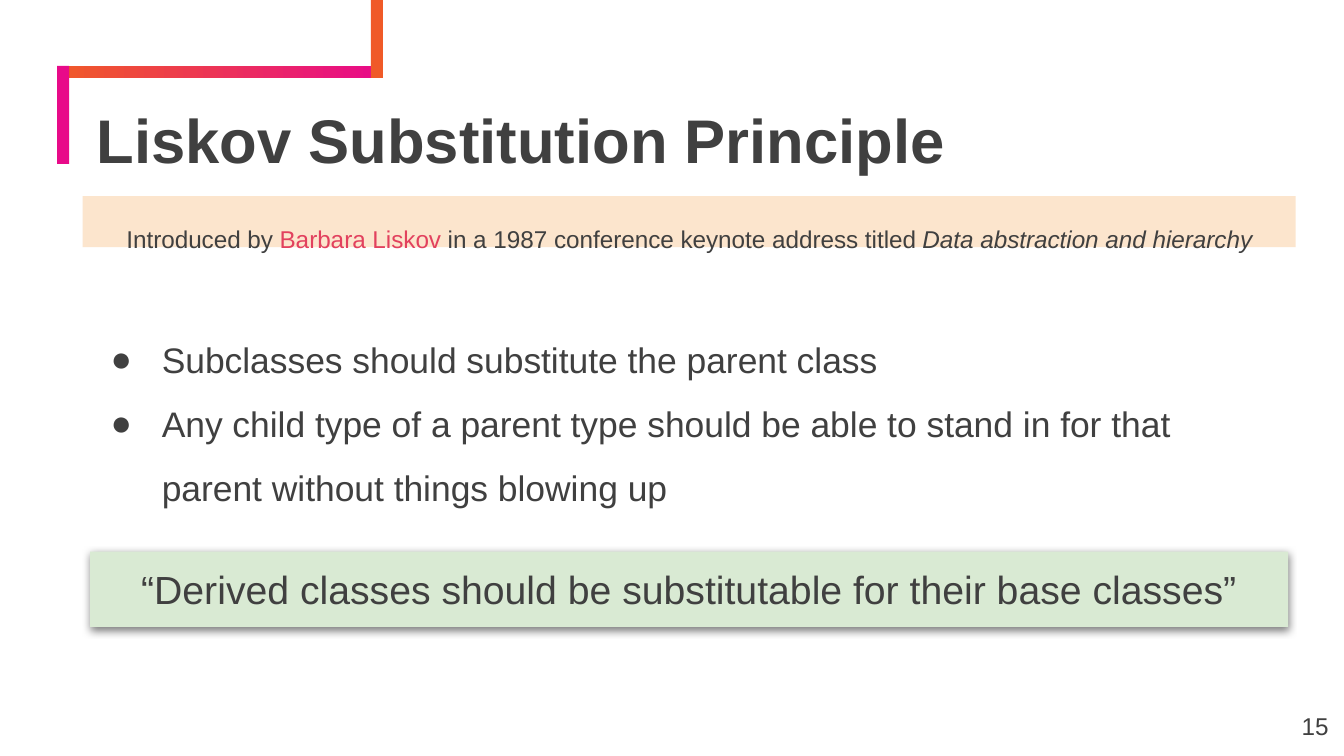
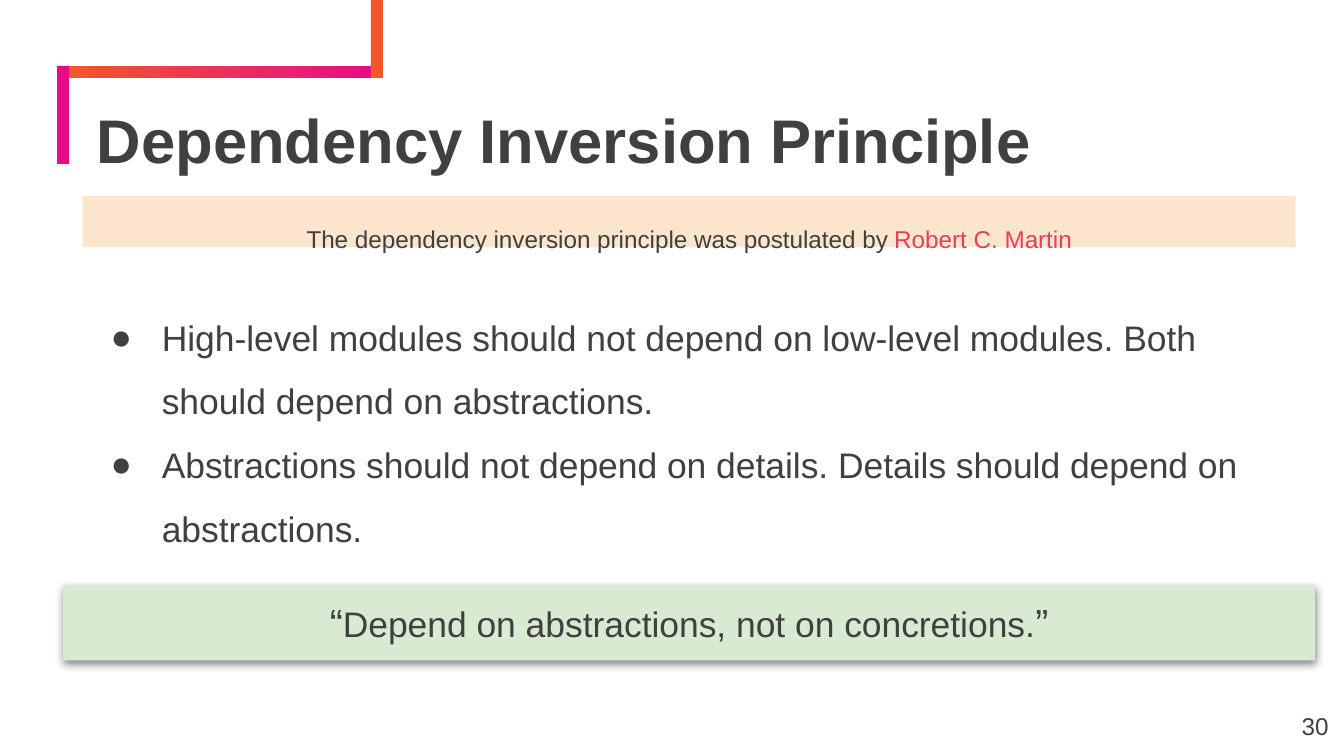
from dataclasses import dataclass
from typing import Any, NamedTuple

from lxml import etree
from pptx import Presentation
from pptx import util as u
from pptx.dml import color as dml
from pptx.enum import shapes, text
from pptx.oxml import ns

PX = 4572  # EMU in one px, 200 px to the inch
SLIDE_SIZE = (2000, 1125)

INK, ACCENT = "404040", "E2415E"
ORANGE, MAGENTA = "F05A28", "E80A89"
PEACH, MINT = "FCE5CD", "D9EAD3"
FONT = "Arial"
LEFT, CENTER, RIGHT = text.PP_ALIGN.LEFT, text.PP_ALIGN.CENTER, text.PP_ALIGN.RIGHT


class Box(NamedTuple):
    left: int
    top: int
    width: int
    height: int


class Run(NamedTuple):
    words: str
    size: int
    color: str = INK
    bold: bool = False
    italic: bool = False


@dataclass
class Principle:
    title: str
    number: str
    origin: list[Run]
    points: list[str]
    points_box: Box
    quote: list[Run]
    quote_box: Box


TITLE_BOX = Box(134, 203, 1804, 68)
ORIGIN_BOX = Box(123, 292, 1805, 76)
NUMBER_BOX = Box(1871, 1038, 120, 86)

PRINCIPLES = [
    Principle(
        title="Liskov Substitution Principle",
        number="15",
        origin=[
            Run("Introduced by ", 13),
            Run("Barbara Liskov", 13, ACCENT),
            Run(" in a 1987 conference keynote address titled ", 13),
            Run("Data abstraction and hierarchy", 13, italic=True),
        ],
        points=[
            "Subclasses should substitute the parent class",
            "Any child type of a parent type should be able to stand in for that "
            "parent without things blowing up",
        ],
        points_box=Box(121, 452, 1804, 348),
        quote=[Run("“Derived classes should be substitutable for their base classes”", 21)],
        quote_box=Box(134, 821, 1783, 112),
    ),
    Principle(
        title="Dependency Inversion Principle",
        number="30",
        origin=[
            Run("The dependency inversion principle was postulated by ", 13),
            Run("Robert C. Martin", 13, ACCENT),
        ],
        points=[
            "High-level modules should not depend on low-level modules. "
            "Both should depend on abstractions.",
            "Abstractions should not depend on details. "
            "Details should depend on abstractions.",
        ],
        points_box=Box(121, 418, 1804, 348),
        quote=[
            Run("“", 21),
            Run("Depend on abstractions, not on concretions.", 19),
            Run("”", 21),
        ],
        quote_box=Box(94, 871, 1863, 112),
    ),
]


def rgb(value: str) -> dml.RGBColor:
    return dml.RGBColor.from_string(value)


def emu(box: Box) -> list[u.Emu]:
    return [u.Emu(side * PX) for side in box]


def apply(target: Any, values: dict[str, Any]) -> None:
    for name, value in values.items():
        setattr(target, name, value)


def add_xml(parent: Any, tag: str, **attributes: str) -> Any:
    return etree.SubElement(parent, ns.qn(tag), attributes)


# Text

def set_frame(frame: Any, margin_x: int = 20, margin_y: int = 20,
              anchor: Any = text.MSO_ANCHOR.TOP,
              auto_size: Any = text.MSO_AUTO_SIZE.NONE) -> None:
    apply(frame, {
        "word_wrap": True, "auto_size": auto_size, "vertical_anchor": anchor,
        "margin_left": margin_x * PX, "margin_right": margin_x * PX,
        "margin_top": margin_y * PX, "margin_bottom": margin_y * PX,
    })


def write(paragraph: Any, runs: list[Run], align: Any = LEFT, spacing: float = 1.0) -> None:
    apply(paragraph, {"alignment": align, "line_spacing": spacing})
    for item in runs:
        run = paragraph.add_run()
        run.text = item.words
        apply(run.font, {"name": FONT, "size": u.Pt(item.size),
                         "bold": item.bold, "italic": item.italic})
        run.font.color.rgb = rgb(item.color)


def add_bullet(paragraph: Any) -> None:
    properties = paragraph._p.get_or_add_pPr()
    properties.set("marL", str(100 * PX))
    properties.set("indent", str(-76 * PX))
    add_xml(add_xml(properties, "a:buClr"), "a:srgbClr", val=INK)
    add_xml(properties, "a:buFont", typeface=FONT)
    add_xml(properties, "a:buChar", char="●")


# Shapes

def add_rect(slide: Any, box: Box, fill: str) -> Any:
    rect = slide.shapes.add_shape(shapes.MSO_SHAPE.RECTANGLE, *emu(box))
    rect.shadow.inherit = False
    rect.line.fill.background()
    rect.fill.solid()
    rect.fill.fore_color.rgb = rgb(fill)
    return rect


def add_shadow(shape: Any) -> None:
    effects = shape._element.spPr.find(ns.qn("a:effectLst"))
    shadow = add_xml(effects, "a:outerShdw", blurRad=str(u.Pt(4.5)), dist=str(u.Pt(1.5)),
                     dir="5400000", algn="bl", rotWithShape="0")
    add_xml(add_xml(shadow, "a:srgbClr", val="000000"), "a:alpha", val="50000")


# Slide parts

def draw_corner(slide: Any) -> None:
    ribbon = add_rect(slide, Box(85, 98, 485, 18), ORANGE)
    ribbon.fill.gradient()
    ribbon.fill.gradient_angle = 0
    for stop, shade in zip(ribbon.fill.gradient_stops, (ORANGE, MAGENTA)):
        stop.color.rgb = rgb(shade)
    add_rect(slide, Box(85, 98, 18, 146), MAGENTA)
    add_rect(slide, Box(552, 0, 18, 116), ORANGE)


def draw_title(slide: Any, words: str) -> None:
    title = slide.shapes.title
    apply(title, dict(zip(Box._fields, emu(TITLE_BOX))))
    set_frame(title.text_frame, 10, 8, text.MSO_ANCHOR.BOTTOM)
    write(title.text_frame.paragraphs[0], [Run(words, 33, bold=True)], spacing=0.9)


def draw_number(slide: Any, number: str) -> None:
    frame = slide.shapes.add_textbox(*emu(NUMBER_BOX)).text_frame
    set_frame(frame, margin_x=14)
    write(frame.paragraphs[0], [Run(number, 13)], RIGHT)


def draw_origin(slide: Any, runs: list[Run]) -> None:
    frame = add_rect(slide, ORIGIN_BOX, PEACH).text_frame
    set_frame(frame)
    write(frame.paragraphs[0], runs, CENTER, 1.5)


def draw_points(slide: Any, points: list[str], box: Box) -> None:
    frame = slide.shapes.add_textbox(*emu(box)).text_frame
    set_frame(frame)
    for index, point in enumerate(points):
        paragraph = frame.add_paragraph() if index else frame.paragraphs[0]
        write(paragraph, [Run(point, 19)], spacing=1.5)
        add_bullet(paragraph)


def draw_quote(slide: Any, runs: list[Run], box: Box) -> None:
    banner = add_rect(slide, box, MINT)
    add_shadow(banner)
    set_frame(banner.text_frame, auto_size=text.MSO_AUTO_SIZE.SHAPE_TO_FIT_TEXT)
    write(banner.text_frame.paragraphs[0], runs, CENTER)


def main() -> None:
    deck = Presentation()
    deck.slide_width, deck.slide_height = (u.Emu(side * PX) for side in SLIDE_SIZE)
    title_only = deck.slide_layouts[5]
    for principle in PRINCIPLES:
        slide = deck.slides.add_slide(title_only)
        draw_corner(slide)
        draw_number(slide, principle.number)
        draw_title(slide, principle.title)
        draw_origin(slide, principle.origin)
        draw_points(slide, principle.points, principle.points_box)
        draw_quote(slide, principle.quote, principle.quote_box)
    deck.save("out.pptx")


if __name__ == "__main__":
    main()
